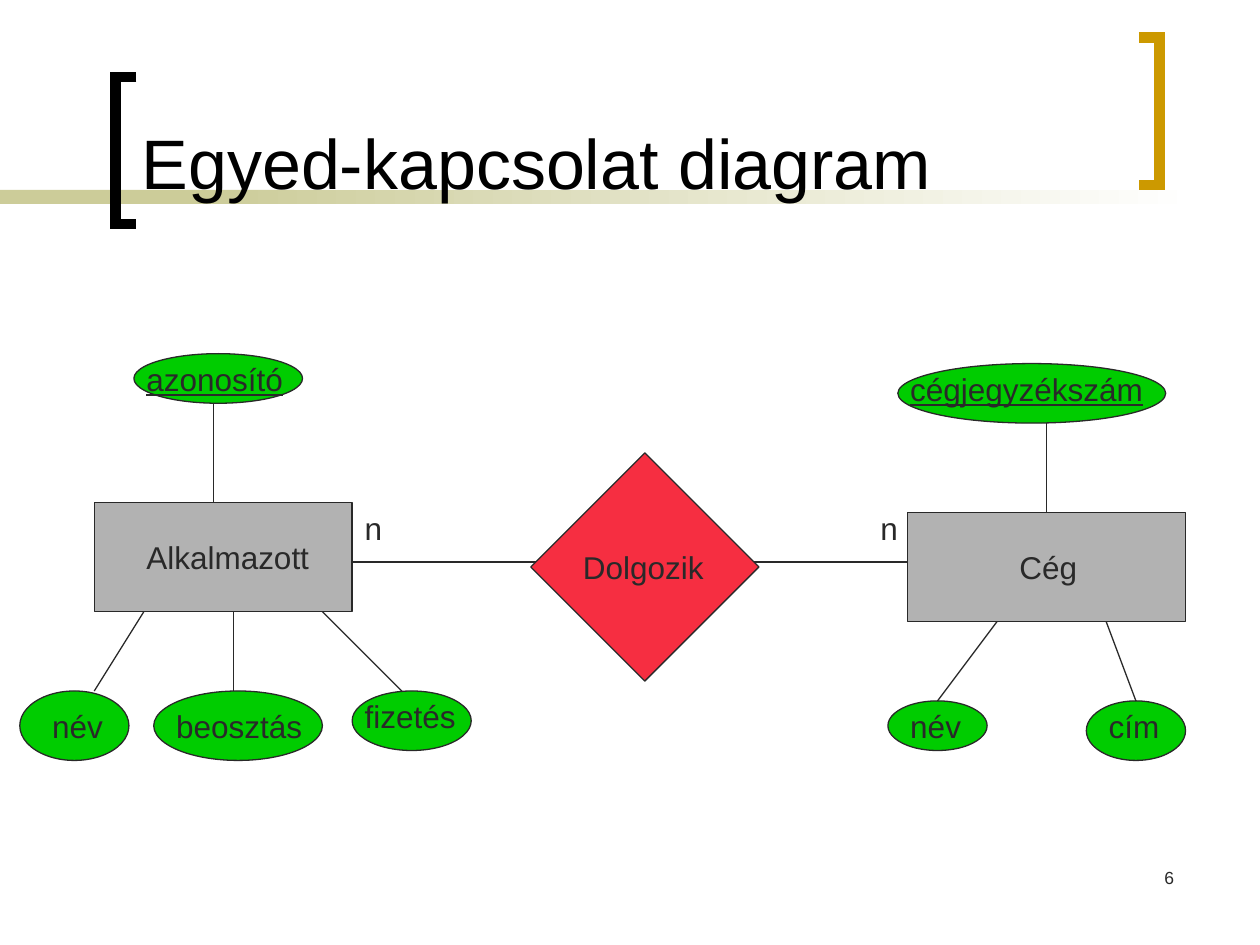
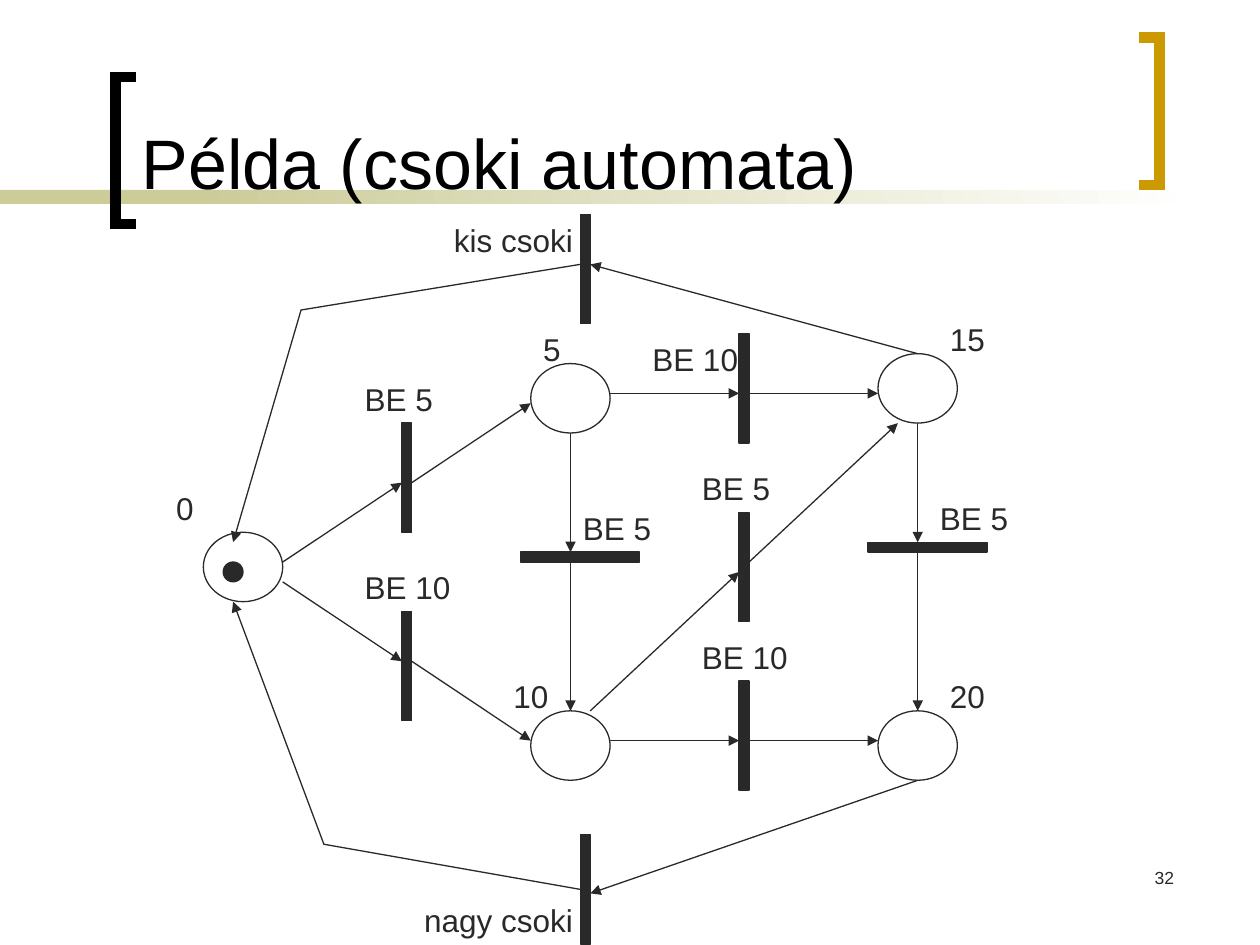
from lxml import etree
from pptx import Presentation
from pptx.dml.color import RGBColor
from pptx.enum.shapes import MSO_CONNECTOR, MSO_SHAPE
from pptx.enum.text import MSO_ANCHOR, MSO_AUTO_SIZE, PP_ALIGN
from pptx.oxml.ns import qn
from pptx.util import Cm, Pt

RECT, ELLIPSE, DIAMOND = MSO_SHAPE.RECTANGLE, MSO_SHAPE.OVAL, MSO_SHAPE.DIAMOND
STRAIGHT = MSO_CONNECTOR.STRAIGHT
LEFT, RIGHT = PP_ALIGN.LEFT, PP_ALIGN.RIGHT
TOP, BOTTOM = MSO_ANCHOR.TOP, MSO_ANCHOR.BOTTOM
NO_FIT = MSO_AUTO_SIZE.NONE

FONT = "Arial"
INK, BLACK, WHITE = "292929", "000000", "FFFFFF"
SAND, GOLD = "CCCC99", "CC9900"
ENTITY_GREY, ATTRIBUTE_GREEN, RELATION_RED = "B2B2B2", "00CC00", "F62E41"
TITLE_ONLY = 5


def color(hex_code):
    return RGBColor.from_string(hex_code)


# Drawing helpers: positions are in cm, relative to an origin (x, y)
def shift(origin, x, y):
    return origin[0] + x, origin[1] + y


def write(frame, text, size, ink=INK, align=LEFT, anchor=TOP, underline=None):
    frame.word_wrap = True
    frame.auto_size = NO_FIT
    frame.vertical_anchor = anchor
    paragraph = frame.paragraphs[0]
    paragraph.text = text
    paragraph.alignment = align
    font = paragraph.font
    font.name, font.size, font.underline = FONT, Pt(size), underline
    font.color.rgb = color(ink)


def label(slide, origin, x, y, width, text, underline=None):
    left, top = shift(origin, x, y)
    box = slide.shapes.add_textbox(Cm(left), Cm(top), Cm(width), Cm(1.02))
    write(box.text_frame, text, 18, underline=underline)


def draw(slide, origin, kind, x, y, width, height, fill, outlined=True):
    left, top = shift(origin, x, y)
    shape = slide.shapes.add_shape(kind, Cm(left), Cm(top), Cm(width), Cm(height))
    shape.shadow.inherit = False
    shape.fill.solid()
    shape.fill.fore_color.rgb = color(fill)
    if outlined:
        ink_line(shape.line)
    else:
        shape.line.fill.background()
    return shape


def ink_line(line, ink=INK, width=0.75):
    line.color.rgb = color(ink)
    line.width = Pt(width)


def add_arrowhead(shape):
    line = shape.line._get_or_add_ln()
    etree.SubElement(line, qn("a:tailEnd"), type="triangle")


def connect(slide, origin, start, end, arrow=False):
    (x1, y1), (x2, y2) = shift(origin, *start), shift(origin, *end)
    link = slide.shapes.add_connector(STRAIGHT, Cm(x1), Cm(y1), Cm(x2), Cm(y2))
    ink_line(link.line)
    if arrow:
        add_arrowhead(link)
    etree.SubElement(link._element.spPr, qn("a:effectLst"))


def polyline(slide, origin, points, ink=INK, width=0.75):
    corners = [tuple(Cm(v) for v in shift(origin, *point)) for point in points]
    builder = slide.shapes.build_freeform(*corners[0])
    builder.add_line_segments(corners[1:], close=False)
    shape = builder.convert_to_shape()
    shape.shadow.inherit = False
    shape.fill.background()
    ink_line(shape.line, ink, width)
    etree.SubElement(shape.line._get_or_add_ln(), qn("a:miter"), lim="800000")
    return shape


# Shared frame: band, brackets, page number, title
def bracket(slide, origin, open_x, spine_x, ink):
    points = [(open_x, 0), (spine_x, 0), (spine_x, 2.97), (open_x, 2.97)]
    polyline(slide, origin, points, ink, 6)


def framed_slide(prs, title_text, number):
    slide = prs.slides.add_slide(prs.slide_layouts[TITLE_ONLY])
    band = (0, 3.83)
    draw(slide, band, RECT, 0, 0, 5.93, 0.28, SAND, outlined=False)
    fade = draw(slide, band, RECT, 4.02, 0, 20.11, 0.28, SAND, outlined=False)
    fade.fill.gradient()
    fade.fill.gradient_angle = 0
    for stop, tone in zip(fade.fill.gradient_stops, (SAND, WHITE)):
        stop.color.rgb = color(tone)
    bracket(slide, (2.33, 1.55), 0.42, 0, BLACK)
    bracket(slide, (22.96, 0.76), 0, 0.42, GOLD)

    page = slide.shapes.add_textbox(Cm(18.63), Cm(17.35), Cm(5.29), Cm(1.27))
    write(page.text_frame, number, 10, align=RIGHT)

    title = slide.shapes.title
    title.left, title.top = Cm(2.6), Cm(0.28)
    title.width, title.height = Cm(19.9), Cm(3.94)
    write(title.text_frame, title_text, 40, BLACK, anchor=BOTTOM)
    slide.shapes._spTree.append(title._element)  # title lies over the band
    return slide


# Entity-relationship diagram
KEY_Y, ENTITY_Y, ENTITY_HEIGHT, ATTRIBUTE_Y = 0, 3, 2.2, 6.8


def entity(slide, origin, body, name, key, key_link_x, attributes):
    """body: x, width; name: text, x, width; key: text, x, width, height, text width;
    attributes: text, oval x, width, height, text dx, dy, width, link ends x."""
    x, width = body
    draw(slide, origin, RECT, x, ENTITY_Y, width, ENTITY_HEIGHT, ENTITY_GREY)
    text, text_x, text_width = name
    label(slide, origin, text_x, ENTITY_Y + 0.6, text_width, text)

    text, x, width, height, text_width = key
    draw(slide, origin, ELLIPSE, x, KEY_Y, width, height, ATTRIBUTE_GREEN)
    label(slide, origin, x, KEY_Y, text_width, text, underline=True)
    connect(slide, origin, (key_link_x, ENTITY_Y), (key_link_x, KEY_Y + height))

    for text, x, width, height, dx, dy, text_width, oval_x, body_x in attributes:
        draw(slide, origin, ELLIPSE, x, ATTRIBUTE_Y, width, height, ATTRIBUTE_GREEN)
        label(slide, origin, x + dx, ATTRIBUTE_Y + dy, text_width, text)
        connect(slide, origin, (oval_x, ATTRIBUTE_Y),
                (body_x, ENTITY_Y + ENTITY_HEIGHT))


def relationship(slide, origin, span, name):
    connect(slide, origin, (0, 1.2), (span, 1.2))
    draw(slide, origin, DIAMOND, 3.6, -1, 4.6, 4.6, RELATION_RED)
    label(slide, origin, 4.4, 0.8, 3.2, name)
    label(slide, origin, 0, 0, 1, "n")
    label(slide, origin, span - 0.8, 0, 0.9, "n")


def er_slide(prs):
    slide = framed_slide(prs, "Egyed-kapcsolat diagram", "6")
    entity(slide, (0.4, 7.13), (1.5, 5.2), ("Alkalmazott", 2.3, 4),
           ("azonosító", 2.3, 3.4, 1, 3.8), 3.9,
           [("név", 0, 2.2, 1.4, 0.4, 0.2, 1.7, 1.5, 2.5),
            ("beosztás", 2.7, 3.4, 1.4, 0.2, 0.2, 3.4, 4.3, 4.3),
            ("fizetés", 6.7, 2.4, 1.2, 0, 0, 2.6, 7.7, 6.1)])
    entity(slide, (17.9, 7.33), (0.4, 5.6), ("Cég", 2.4, 2),
           ("cégjegyzékszám", 0.2, 5.4, 1.2, 5.6), 3.2,
           [("név", 0, 2, 1, 0.2, 0, 2, 1, 2.2),
            ("cím", 4, 2, 1.2, 0.2, 0, 1.7, 5, 4.4)])
    relationship(slide, (7.1, 10.13), 11.2, "Dolgozik")


# Petri net of the vending machine
BAR_LONG, BAR_THIN = 2.2, 0.2

# text, oval x, y, text x, y
PLACES = [
    ("0", 0.8, 6.4, 0, 5.4),
    ("5", 7.4, 3, 7.4, 2.2),
    ("10", 7.4, 10, 6.8, 9.2),
    ("15", 14.4, 2.8, 15.6, 2),
    ("20", 14.4, 10, 15.6, 9.2),
]
# text, bar x, y, text x, y, text width
UPRIGHT_BARS = [
    ("BE 5", 4.8, 4.2, 3.8, 3.2, 2),
    ("BE 10", 4.8, 8, 3.8, 7, 2.4),
    ("BE 10", 11.6, 2.4, 9.6, 2.4, 2.4),
    ("BE 5", 11.6, 6, 10.6, 5, 2),
    ("BE 10", 11.6, 9.4, 10.6, 8.4, 2.4),
    ("kis csoki", 8.4, 0, 5.6, 0, 3.4),
    ("nagy csoki", 8.4, 12.5, 5, 13.7, 4),
]
FLAT_BARS = [
    ("BE 5", 7.2, 6.8, 8.2, 5.8, 2),
    ("BE 5", 14.2, 6.6, 15.4, 5.6, 2),
]
ARROWS = [
    # from 0 to 5 and to 10
    ((2.4, 7), (4.8, 5.4)), ((5, 5.4), (7.4, 3.8)),
    ((2.4, 7.4), (4.8, 9)), ((5, 9), (7.4, 10.6)),
    # from 5 to 10 and to 15
    ((8.2, 4.4), (8.2, 6.8)), ((8.2, 7), (8.2, 10)),
    ((9, 3.6), (11.6, 3.6)), ((11.8, 3.6), (14.4, 3.6)),
    # from 10 to 15 and to 20
    ((8.6, 10), (11.6, 7.2)), ((11.8, 7), (14.8, 4.2)),
    ((9, 10.6), (11.6, 10.6)), ((11.8, 10.6), (14.4, 10.6)),
    # from 15 to 20
    ((15.2, 4.2), (15.2, 6.6)), ((15.2, 6.8), (15.2, 10)),
    # chocolate handed out
    ((15.2, 2.8), (8.6, 1)), ((15.2, 11.4), (8.6, 13.68)),
]
RETURNS = [
    [(8.4, 1), (2.77, 1.92), (1.4, 6.6)],
    [(8.4, 13.6), (3.23, 12.69), (1.4, 7.8)],
]


def petri_net(slide, origin):
    for _, x, y, _, _ in PLACES:
        draw(slide, origin, ELLIPSE, x, y, 1.6, 1.4, WHITE)
    draw(slide, origin, ELLIPSE, 1.2, 7, 0.4, 0.4, INK)  # token
    for _, x, y, *_ in UPRIGHT_BARS:
        draw(slide, origin, RECT, x, y, BAR_THIN, BAR_LONG, INK)
    for _, x, y, *_ in FLAT_BARS:
        draw(slide, origin, RECT, x, y, BAR_LONG + 0.2, BAR_THIN, INK)
    for start, end in ARROWS:
        connect(slide, origin, start, end, arrow=True)
    for points in RETURNS:
        add_arrowhead(polyline(slide, origin, points))
    for text, _, _, x, y in PLACES:
        label(slide, origin, x, y, 1.4, text)
    for text, _, _, x, y, width in UPRIGHT_BARS + FLAT_BARS:
        label(slide, origin, x, y, width, text)


def petri_slide(prs):
    slide = framed_slide(prs, "Példa (csoki automata)", "32")
    petri_net(slide, (3.3, 4.33))


def main():
    prs = Presentation()
    prs.slide_width, prs.slide_height = Cm(25.4), Cm(19.05)
    er_slide(prs)
    petri_slide(prs)
    prs.save("out.pptx")


if __name__ == "__main__":
    main()
